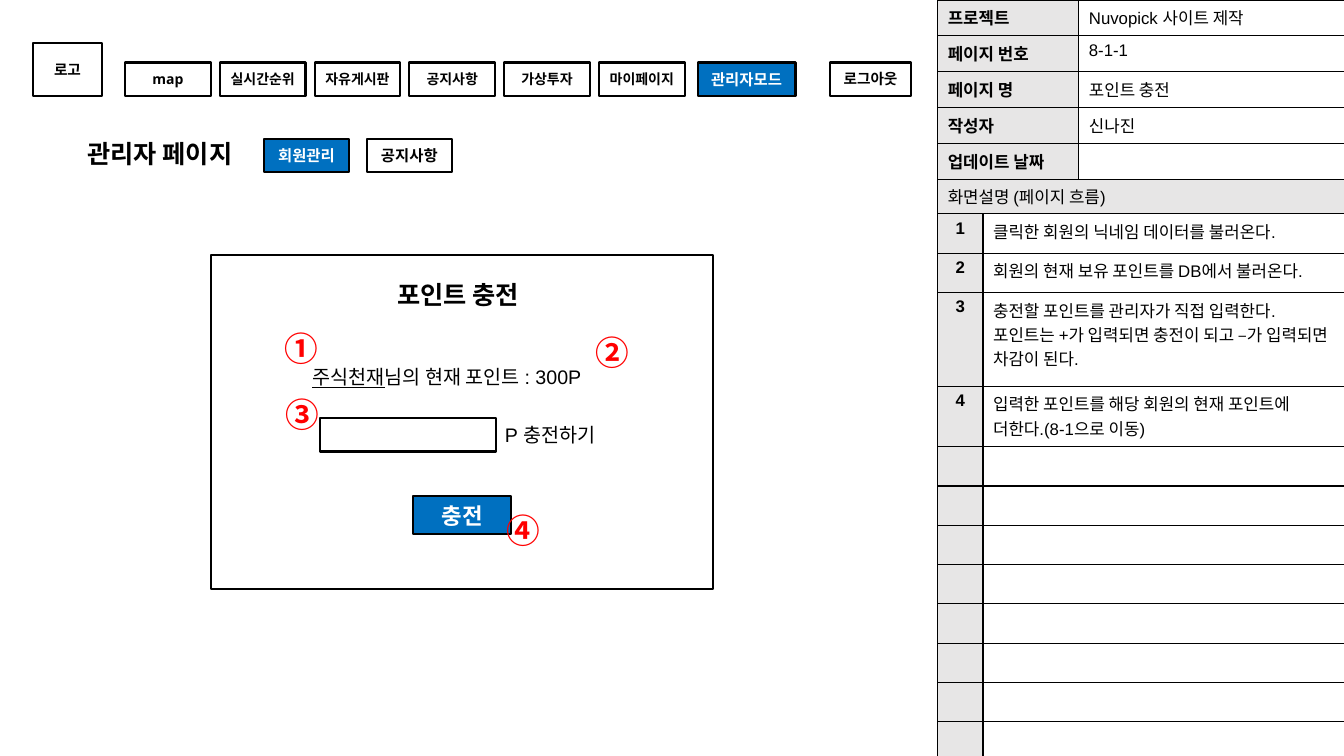
"""Build the point-charging wireframe slide with its page description tables."""
from lxml import etree
from pptx import Presentation
from pptx.dml.color import RGBColor
from pptx.enum.shapes import MSO_SHAPE
from pptx.enum.text import MSO_ANCHOR, PP_ALIGN
from pptx.oxml.ns import qn
from pptx.util import Inches, Pt

RECTANGLE = MSO_SHAPE.RECTANGLE
MIDDLE, TOP = MSO_ANCHOR.MIDDLE, MSO_ANCHOR.TOP
LEFT, CENTER = PP_ALIGN.LEFT, PP_ALIGN.CENTER
BLACK, WHITE, BLUE, RED, GRAY = "000000", "FFFFFF", "0070C0", "FF0000", "E7E6E6"
BODY, LABEL, KOREAN = "Arial", "Open Sans", "Noto Sans CJK KR"

PROJECT = [
    ("프로젝트", "Nuvopick 사이트 제작"),
    ("페이지 번호", "8-1-1"),
    ("페이지 명", "포인트 충전"),
    ("작성자", "신나진"),
    ("업데이트 날짜", ""),
]
FLOW_TITLE = "화면설명 (페이지 흐름)"
FLOW = [
    ("1", "클릭한 회원의 닉네임 데이터를 불러온다."),
    ("2", "회원의 현재 보유 포인트를 DB에서 불러온다."),
    ("3", "충전할 포인트를 관리자가 직접 입력한다.\n"
          "포인트는 +가 입력되면 충전이 되고 –가 입력되면 차감이 된다."),
    ("4", "입력한 포인트를 해당 회원의 현재 포인트에 더한다.(8-1으로 이동)"),
] + [("", "")] * 8
FLOW_HEIGHTS = [0.32, 0.39, 0.39, 0.93, 0.6] + [0.39] * 8

MENU = ["map", "실시간순위", "자유게시판", "공지사항", "가상투자", "마이페이지"]
BUTTONS = [
    ("로고", (0.33, 0.43, 0.68, 0.52), 10.5, None),
    ("로그아웃", (8.23, 0.62, 0.81, 0.33), 10.5, None),
    ("관리자모드", (6.92, 0.62, 0.97, 0.33), 11, BLUE),
    ("회원관리", (2.62, 1.38, 0.84, 0.33), 11, BLUE),
    ("공지사항", (3.64, 1.38, 0.84, 0.33), 11, WHITE),
    ("충전", (4.1, 4.92, 0.97, 0.38), 16, BLUE),
] + [(name, (1.24 + 0.94 * i, 0.62, 0.85, 0.33), 10, None)
     for i, name in enumerate(MENU)]
TITLES = [("관리자 페이지", 0.68, 1.34), ("포인트 충전", 3.64, 2.74)]
SENTENCES = [
    ([("주식천재", True), ("님의 현재 포인트 : 300P", False)], (3, 3.57, 3.63, 0.34)),
    ([("P 충전하기", False)], (4.91, 4.15, 1.28, 0.34)),
]
MARKERS = [("①", 2.72, 3.2), ("②", 5.81, 3.24), ("③", 2.73, 3.86), ("④", 4.93, 5.01)]


def rgb(value):
    return RGBColor.from_string(value)


def add_span(para, text, size=12, font=BODY, color=BLACK, bold=False, underline=False):
    span = para.add_run()
    span.text = text
    style = span.font
    style.size, style.bold, style.name = Pt(size), bold, font
    style.underline = underline or None
    style.color.rgb = rgb(color)
    etree.SubElement(span._r.get_or_add_rPr(), qn("a:ea"), typeface=KOREAN)


def set_margins(frame, side=0.1, edge=0.05):
    frame.margin_left = frame.margin_right = Inches(side)
    frame.margin_top = frame.margin_bottom = Inches(edge)


def add_rect(place, fill=None):
    box = page.shapes.add_shape(RECTANGLE, *map(Inches, place))
    box.shadow.inherit = False
    if fill:
        box.fill.solid()
        box.fill.fore_color.rgb = rgb(fill)
    else:
        box.fill.background()
    box.line.color.rgb = rgb(BLACK)
    box.line.width = Pt(1.5)
    return box


def add_button(text, place, size, fill):
    frame = add_rect(place, fill).text_frame
    set_margins(frame, 0, 0)
    frame.vertical_anchor = MIDDLE
    para = frame.paragraphs[0]
    para.alignment = CENTER
    color = WHITE if fill == BLUE else BLACK
    add_span(para, text, size, LABEL, color, bold=True)


def add_text(spans, place, align=LEFT, anchor=TOP, **style):
    frame = page.shapes.add_textbox(*map(Inches, place)).text_frame
    frame.word_wrap = True
    frame.vertical_anchor = anchor
    set_margins(frame)
    para = frame.paragraphs[0]
    para.alignment = align
    for text, underline in spans:
        add_span(para, text, underline=underline, **style)


def fill_cell(cell, text, fill=None, bold=False, align=LEFT):
    for side in ("a:lnL", "a:lnR", "a:lnT", "a:lnB"):
        edge = etree.SubElement(cell._tc.get_or_add_tcPr(), qn(side), w=str(Pt(1)))
        paint = etree.SubElement(edge, qn("a:solidFill"))
        etree.SubElement(paint, qn("a:srgbClr"), val=BLACK)
    if fill:
        cell.fill.solid()
        cell.fill.fore_color.rgb = rgb(fill)
    else:
        cell.fill.background()
    set_margins(cell)
    frame = cell.text_frame
    for i, line in enumerate(text.split("\n")):
        para = frame.add_paragraph() if i else frame.paragraphs[0]
        para.alignment = align
        if line:
            add_span(para, line, bold=bold)
        else:
            etree.SubElement(para._p, qn("a:endParaRPr"), sz="1200")


def add_grid(top, widths, heights):
    frame = page.shapes.add_table(len(heights), len(widths), Inches(9.3), Inches(top),
                                  Inches(sum(widths)), Inches(sum(heights)))
    grid = frame.table
    grid.first_row = grid.horz_banding = False
    for column, width in zip(grid.columns, widths):
        column.width = Inches(width)
    for row, height in zip(grid.rows, heights):
        row.height = Inches(height)
    return grid


def fill_rows(grid, rows, start=0, align=LEFT):
    for i, (head, detail) in enumerate(rows, start):
        fill_cell(grid.cell(i, 0), head, GRAY, True, align)
        fill_cell(grid.cell(i, 1), detail)


deck = Presentation()
deck.slide_width, deck.slide_height = Inches(13.33), Inches(7.5)
page = deck.slides.add_slide(deck.slide_layouts[6])

add_rect((2.09, 2.53, 4.98, 3.31))
fill_rows(add_grid(0, [1.4, 2.64], [0.356] * len(PROJECT)), PROJECT)
flow_grid = add_grid(1.78, [0.45, 3.59], FLOW_HEIGHTS)
flow_grid.cell(0, 0).merge(flow_grid.cell(0, 1))
fill_cell(flow_grid.cell(0, 0), FLOW_TITLE, GRAY)
fill_cell(flow_grid.cell(0, 1), "", GRAY)
fill_rows(flow_grid, FLOW, 1, CENTER)

add_rect((3.17, 4.15, 1.75, 0.33))
for button in BUTTONS:
    add_button(*button)
for text, left, top in TITLES:
    add_text([(text, False)], (left, top, 1.81, 0.37), CENTER, MIDDLE,
             size=18, font=LABEL, bold=True)
for spans, place in SENTENCES:
    add_text(spans, place, size=14)
for text, left, top in MARKERS:
    add_text([(text, False)], (left, top, 0.6, 0.5),
             size=24, font=KOREAN, color=RED, bold=True)

deck.save("out.pptx")
